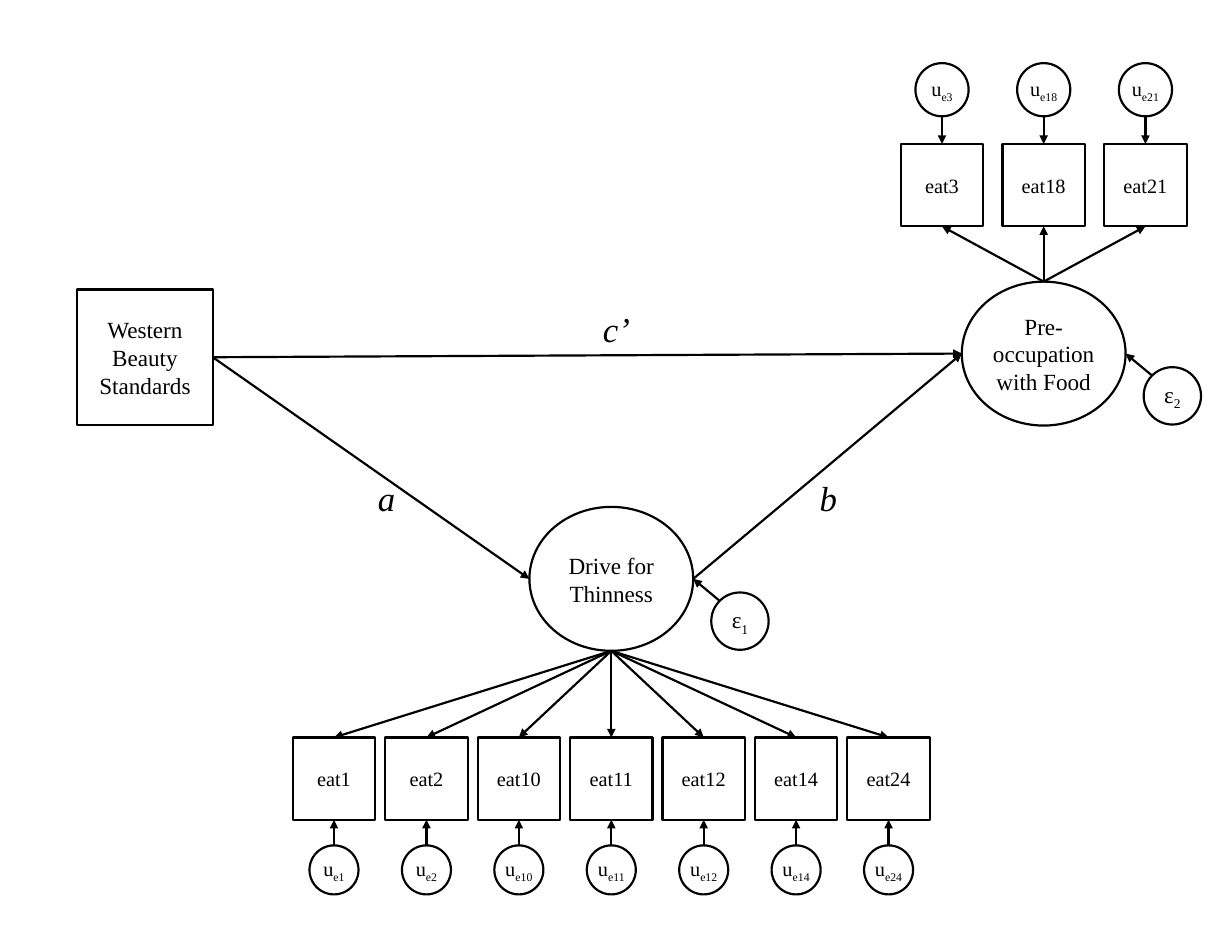
import dataclasses

import pptx
import pptx.dml.color
import pptx.enum.shapes
import pptx.enum.text
import pptx.oxml
import pptx.oxml.ns
import pptx.slide
import pptx.util

COLUMNS, ROWS = 118.1, 90.6
CELL = 0.1
BLACK, WHITE = "000000", "FFFFFF"
FONT = "Times New Roman"
RECTANGLE = pptx.enum.shapes.MSO_SHAPE.RECTANGLE
OVAL = pptx.enum.shapes.MSO_SHAPE.OVAL
DIAGONAL = 0.5 ** 0.5


@dataclasses.dataclass(frozen=True)
class Node:
    kind: pptx.enum.shapes.MSO_SHAPE
    column: float
    row: float
    width: float
    height: float
    text: str
    size: int
    subscript: str = ""
    side_inset: float = 0
    edge_inset: float = 0

    def point(self, across: float, down: float) -> tuple[float, float]:
        return self.column + across * self.width / 2, self.row + down * self.height / 2


@dataclasses.dataclass(frozen=True)
class Construct:
    node: Node
    indicators: tuple[str, ...]
    pitch: float
    box_row: float
    residual_row: float
    residual_size: float
    error_number: str


@dataclasses.dataclass(frozen=True)
class PathLabel:
    text: str
    column: float
    row: float
    width: float
    height: float = 5


def cells(count: float) -> pptx.util.Length:
    return pptx.util.Inches(count * CELL)


def colour(code: str) -> pptx.dml.color.RGBColor:
    return pptx.dml.color.RGBColor.from_string(code)


def apply_format(target: object, values: dict[str, object]) -> None:
    for name, value in values.items():
        setattr(target, name, value)


def write_text(frame: object, text: str, size: int, subscript: str = "", italic: bool = False) -> None:
    paragraph = frame.paragraphs[0]
    paragraph.alignment = pptx.enum.text.PP_ALIGN.CENTER
    for part in filter(None, (text, subscript)):
        run = paragraph.add_run()
        run.text = part
        apply_format(run.font, {"name": FONT, "size": pptx.util.Pt(size), "italic": italic})
        run.font.color.rgb = colour(BLACK)
    if subscript:
        run._r.get_or_add_rPr().set("baseline", "-25000")


def draw_outline(line: object) -> None:
    line.color.rgb = colour(BLACK)
    line.width = pptx.util.Pt(1.5)


def draw_node(slide: pptx.slide.Slide, node: Node) -> None:
    left, top = node.point(-1, -1)
    shape = slide.shapes.add_shape(
        node.kind, cells(left), cells(top), cells(node.width), cells(node.height)
    )
    shape.shadow.inherit = False
    shape.fill.solid()
    shape.fill.fore_color.rgb = colour(WHITE)
    draw_outline(shape.line)
    apply_format(shape.text_frame, {
        "word_wrap": True,
        "vertical_anchor": pptx.enum.text.MSO_ANCHOR.MIDDLE,
        "margin_left": cells(node.side_inset),
        "margin_right": cells(node.side_inset),
        "margin_top": cells(node.edge_inset),
        "margin_bottom": cells(node.edge_inset),
    })
    write_text(shape.text_frame, node.text, node.size, node.subscript)


def draw_arrow(slide: pptx.slide.Slide, start: tuple[float, float], end: tuple[float, float]) -> None:
    connector = slide.shapes.add_connector(
        pptx.enum.shapes.MSO_CONNECTOR.STRAIGHT, *map(cells, start + end)
    )
    draw_outline(connector.line)
    properties = connector.element.spPr
    namespace = pptx.oxml.ns.nsdecls("a")
    arrowhead = pptx.oxml.parse_xml(f'<a:tailEnd {namespace} type="triangle"/>')
    properties.find(pptx.oxml.ns.qn("a:ln")).append(arrowhead)
    properties.append(pptx.oxml.parse_xml(f"<a:effectLst {namespace}/>"))


def draw_label(slide: pptx.slide.Slide, label: PathLabel) -> None:
    box = slide.shapes.add_textbox(
        cells(label.column), cells(label.row), cells(label.width), cells(label.height)
    )
    apply_format(box.text_frame, {
        "word_wrap": True,
        "auto_size": pptx.enum.text.MSO_AUTO_SIZE.SHAPE_TO_FIT_TEXT,
    })
    write_text(box.text_frame, label.text, 24, italic=True)


def draw_construct(slide: pptx.slide.Slide, construct: Construct) -> None:
    node = construct.node
    outward = 1 if construct.box_row > node.row else -1
    middle = (len(construct.indicators) - 1) / 2
    draw_node(slide, node)
    for index, number in enumerate(construct.indicators):
        column = node.column + (index - middle) * construct.pitch
        box = Node(RECTANGLE, column, construct.box_row, 7.9, 7.9, f"eat{number}", 14,
                   side_inset=0.6, edge_inset=0.3)
        residual = Node(OVAL, column, construct.residual_row, construct.residual_size,
                        construct.residual_size, "u", 14, f"e{number}")
        draw_node(slide, box)
        draw_node(slide, residual)
        draw_arrow(slide, node.point(0, outward), box.point(0, -outward))
        draw_arrow(slide, residual.point(0, -outward), box.point(0, outward))
    error = Node(OVAL, node.column + 12.33, node.row + 4.05, 5.5, 5.5, "ε", 16,
                 construct.error_number)
    draw_node(slide, error)
    draw_arrow(slide, error.point(-DIAGONAL, -DIAGONAL), node.point(1, 0))


STANDARDS = Node(RECTANGLE, 13.9, 34.25, 13, 13, "Western Beauty Standards", 16,
                 side_inset=1, edge_inset=0.5)
FOOD = Node(OVAL, 100.05, 33.9, 15.7, 13.8, "Pre-occupation with Food", 16, edge_inset=0.5)
THINNESS = Node(OVAL, 58.6, 55.5, 15.7, 13.8, "Drive for Thinness", 16,
                side_inset=1, edge_inset=0.5)
CONSTRUCTS = (
    Construct(FOOD, ("3", "18", "21"), 9.75, 17.75, 8.6, 5.1, "2"),
    Construct(THINNESS, ("1", "2", "10", "11", "12", "14", "24"), 8.86, 74.65, 83.4, 4.7, "1"),
)
PATHS = ((STANDARDS, FOOD), (STANDARDS, THINNESS), (THINNESS, FOOD))
LABELS = (
    PathLabel("a", 34.6, 45.2, 4.9),
    PathLabel("c’", 56.8, 29, 4.6),
    PathLabel("b", 76.8, 45.2, 5.2),
)


def main() -> None:
    presentation = pptx.Presentation()
    apply_format(presentation, {"slide_width": cells(COLUMNS), "slide_height": cells(ROWS)})
    slide = presentation.slides.add_slide(presentation.slide_layouts[6])
    draw_node(slide, STANDARDS)
    for construct in CONSTRUCTS:
        draw_construct(slide, construct)
    for source, target in PATHS:
        draw_arrow(slide, source.point(1, 0), target.point(-1, 0))
    for label in LABELS:
        draw_label(slide, label)
    presentation.save("out.pptx")


if __name__ == "__main__":
    main()
